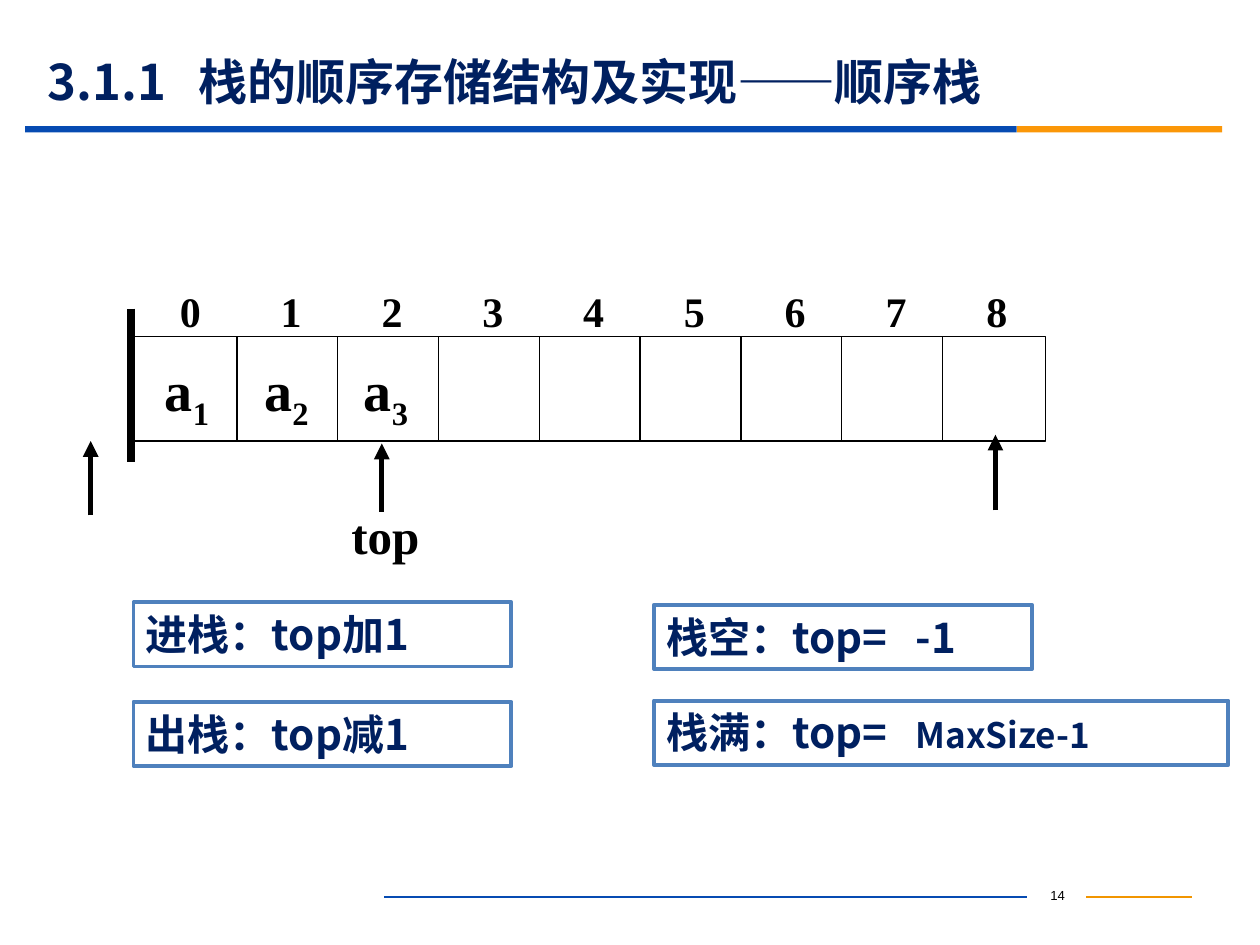
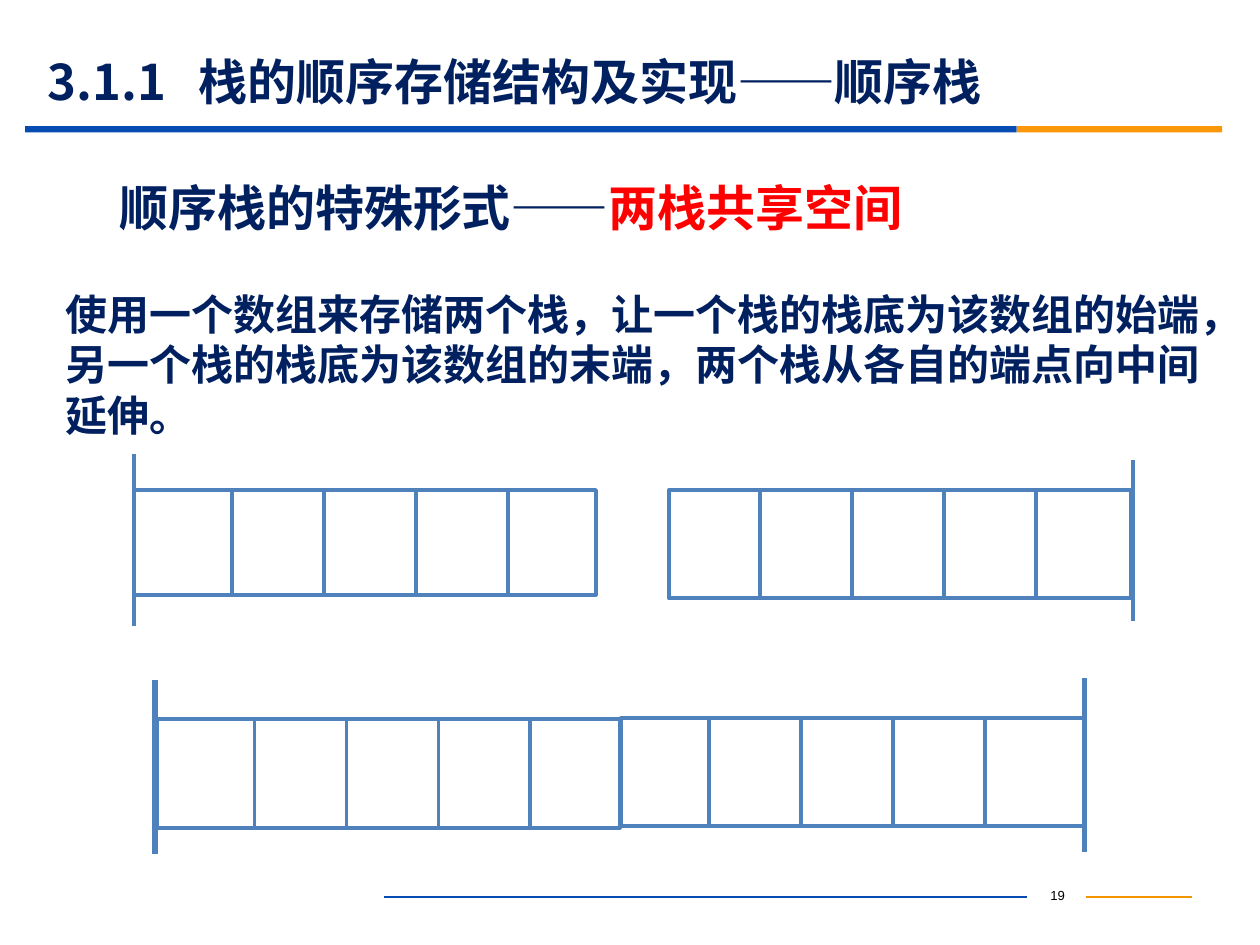
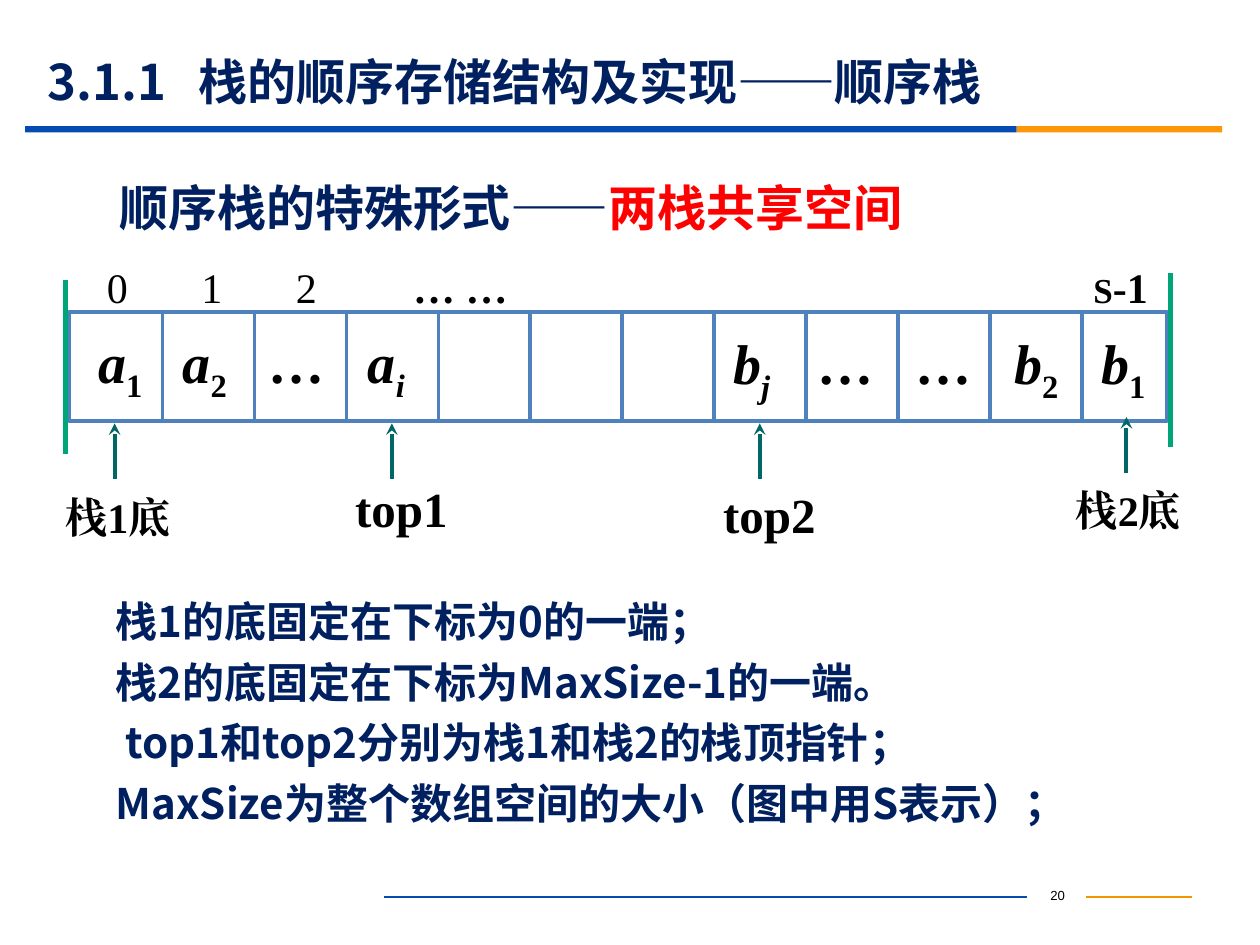
from lxml.etree import SubElement
from pptx import Presentation
from pptx.dml.color import RGBColor
from pptx.enum.shapes import MSO_CONNECTOR as Connector, MSO_SHAPE as Preset
from pptx.enum.text import MSO_ANCHOR as Anchor, PP_ALIGN as Align
from pptx.oxml.ns import qn
from pptx.util import Inches, Pt

SANS, SERIF = "Noto Sans CJK SC", "Times New Roman"
NAVY, BLUE, ORANGE, RED = "002060", "064BB2", "FB9708", "FF0000"
STEEL, GREEN, TEAL, BLACK = "4F81BD", "00A479", "006666", "000000"

HEADING = "3.1.1\t栈的顺序存储结构及实现——顺序栈"
SUBHEADING = [("顺序栈的特殊形式——", {}), ("两栈共享空间", {"color": RED})]
SUB = {"base": -25}
ITALIC = {"italic": True}

STACK_ITEMS = ["1", "2", "3"]
RULES = [
    (1.06, 4.78, 3, "进栈：top加1"),
    (1.06, 5.57, 3, "出栈：top减1"),
    (5.19, 4.8, 3, "栈空：top=\t-1"),
    (5.19, 5.56, 4.56, [("栈满：top=\t", {}), ("MaxSize-1", {"size": 20})]),
]
SHARING = ("使用一个数组来存储两个栈，让一个栈的栈底为该数组的始端，"
           "另一个栈的栈底为该数组的末端，两个栈从各自的端点向中间延伸。")
HALVES = [
    {"box": (1.06, 3.89, 3.67, 0.83), "first": 1.84, "wall": (1.06, 3.6, 4.97), "wall_width": 2.25},
    {"box": (5.31, 3.89, 3.67, 0.86), "first": 6.03, "wall": (8.99, 3.65, 4.93), "wall_width": 2.25},
    {"box": (1.25, 5.71, 3.67, 0.86), "first": 2.02, "wall": (1.23, 5.4, 6.78), "wall_width": 3},
    {"box": (4.93, 5.7, 3.67, 0.86), "first": 5.63, "wall": (8.61, 5.38, 6.76), "wall_width": 3},
]
INDEXES = [("0\t1\t2\t", {"bold": False}), ("… …\t", {}), ("S", {"size": 20}), ("-1", {})]
LEFT_ITEMS = [("a", ITALIC), ("1", SUB), ("\ta", ITALIC), ("2", SUB), ("\t…", {}),
              ("\ta", ITALIC), ("i", {**SUB, **ITALIC})]
RIGHT_ITEMS = [("b", ITALIC), ("j", {**SUB, **ITALIC}), ("\t…\t…", {}), ("\tb", ITALIC),
               ("2", SUB), ("\tb", ITALIC), ("1", SUB)]
POINTERS = [
    (0.91, 3.8, (0.42, 3.85, 1.33, 0.5), "栈1底", 24),
    (3.11, 3.8, (2.72, 3.75, 1.05, 0.57), "top1", 28),
    (6.03, 3.8, (5.64, 3.8, 0.98, 0.57), "top2", 28),
    (8.94, 3.75, (8.44, 3.8, 1.33, 0.5), "栈2底", 24),
]
NOTES = [
    "栈1的底固定在下标为0的一端；",
    "栈2的底固定在下标为MaxSize-1的一端。",
    " top1和top2分别为栈1和栈2的栈顶指针；",
    "MaxSize为整个数组空间的大小（图中用S表示）；",
]


def rgb(value):
    return RGBColor.from_string(value)


def rectangle(slide, box, fill=None, border=None, width=2.25):
    shape = slide.shapes.add_shape(Preset.RECTANGLE, *map(Inches, box))
    shape.shadow.inherit = False
    if fill:
        shape.fill.solid()
        shape.fill.fore_color.rgb = rgb(fill)
    else:
        shape.fill.background()
    if border:
        shape.line.color.rgb = rgb(border)
        shape.line.width = Pt(width)
    else:
        shape.line.fill.background()
    return shape


def line(slide, start, end, color, width, head=None):
    connector = slide.shapes.add_connector(Connector.STRAIGHT, *map(Inches, (*start, *end)))
    connector.line.color.rgb = rgb(color)
    connector.line.width = Pt(width)
    if head:
        SubElement(connector.line._get_or_add_ln(), qn("a:tailEnd"), type=head)
    SubElement(connector._element.spPr, qn("a:effectLst"))


def text(slide, box, *paragraphs, size=24, font=SANS, color=NAVY, bold=True, align=Align.LEFT,
         anchor=Anchor.TOP, side=0.1, spacing=None, tabs=(), border=None):
    shape = (rectangle(slide, box, border=border) if border
             else slide.shapes.add_textbox(*map(Inches, box)))
    frame = shape.text_frame
    frame.word_wrap = True
    frame.vertical_anchor = anchor
    frame.margin_left = frame.margin_right = Inches(side)
    frame.margin_top = frame.margin_bottom = Inches(0.05)
    for number, content in enumerate(paragraphs):
        paragraph = frame.add_paragraph() if number else frame.paragraphs[0]
        paragraph.alignment = align
        if spacing:
            paragraph.line_spacing = spacing
        if tabs:
            stops = SubElement(paragraph._p.get_or_add_pPr(), qn("a:tabLst"))
            for stop in tabs:
                SubElement(stops, qn("a:tab"), pos=str(Inches(stop)), algn="l")
        for words, style in [(content, {})] if isinstance(content, str) else content:
            run = paragraph.add_run()
            run.text = words
            run.font.size = Pt(style.get("size", size))
            run.font.bold = style.get("bold", bold)
            run.font.italic = style.get("italic", False)
            run.font.color.rgb = rgb(style.get("color", color))
            run.font.name = font
            properties = run._r.get_or_add_rPr()
            SubElement(properties, qn("a:ea"), typeface=font)
            if "base" in style:
                properties.set("baseline", str(style["base"] * 1000))


def array(slide, box, first, step, cells, color=STEEL, width=2.25):
    left, top, _, height = box
    rectangle(slide, box, border=color, width=width)
    for number in range(cells - 1):
        x = first + number * step
        line(slide, (x, top), (x, top + height), color, width)


def wall(slide, x, top, bottom, color, width):
    line(slide, (x, top), (x, bottom), color, width)


def new_slide(deck, number):
    slide = deck.slides.add_slide(deck.slide_layouts[6])
    text(slide, (8.16, 6.99, 0.47, 0.25), number, size=7.5, font="Arial", color=BLACK,
         bold=False, align=Align.CENTER)
    line(slide, (8.62, 7.12), (9.46, 7.12), "F19500", 0.75)
    line(slide, (3.05, 7.12), (8.15, 7.12), BLUE, 0.75)
    rectangle(slide, (0.2, 1, 7.87, 0.05), fill=BLUE)
    rectangle(slide, (8.07, 1, 1.63, 0.05), fill=ORANGE)
    text(slide, (0.28, 0.43, 9, 0.43), HEADING, size=28, anchor=Anchor.MIDDLE, tabs=[1.2])
    return slide


def subheading(slide):
    text(slide, (0.85, 1.26, 9, 0.76), SUBHEADING, size=28, anchor=Anchor.MIDDLE)


def sequential_stack(deck):
    slide = new_slide(deck, "14")
    step = 0.8
    for left, top, width, rule in RULES:
        text(slide, (left, top, width, 0.51), rule, border=STEEL, tabs=[1.98])
    array(slide, (1.06, 2.67, 7.24, 0.83), 1.88, step, 9, BLACK, 0.75)
    text(slide, (1.08, 2.22, 7.33, 0.5), "".join(f"\t{index}" for index in range(9)),
         font=SERIF, color=BLACK, tabs=[0.25 + step * index for index in range(9)])
    wall(slide, 1.04, 2.45, 3.67, BLACK, 4.5)
    for number, item in enumerate(STACK_ITEMS):
        text(slide, (1.21 + 0.79 * number, 2.77, 0.67, 0.63), [("a", {}), (item, SUB)],
             size=32, font=SERIF, color=BLACK)
    for x, bottom, tip in [(0.72, 4.09, 3.5), (3.03, 4.06, 3.52), (7.9, 4.05, 3.45)]:
        line(slide, (x, bottom), (x, tip), BLACK, 3, "triangle")
    text(slide, (2.69, 3.96, 0.79, 0.57), "top", size=28, font=SERIF, color=BLACK)


def shared_space(deck):
    slide = new_slide(deck, "19")
    subheading(slide)
    for half in HALVES:
        array(slide, half["box"], half["first"], 0.73, 5)
        wall(slide, *half["wall"], STEEL, half["wall_width"])
    text(slide, (0.52, 2.24, 9.06, 1.58), SHARING, side=0)


def shared_pointers(deck):
    slide = new_slide(deck, "20")
    subheading(slide)
    array(slide, (0.55, 2.48, 8.71, 0.86), 1.29, 0.73, 12)
    wall(slide, 0.52, 2.22, 3.6, GREEN, 3)
    wall(slide, 9.29, 2.17, 3.55, GREEN, 3)
    serif = {"font": SERIF, "color": BLACK}
    text(slide, (0.75, 2.03, 8.76, 0.5), INDEXES, tabs=[0.75, 1.5, 2.43, 7.83], **serif)
    text(slide, (0.68, 2.55, 3.09, 0.63), LEFT_ITEMS, size=32, tabs=[0.67, 1.35, 2.14], **serif)
    text(slide, (5.72, 2.56, 3.54, 0.63), RIGHT_ITEMS, size=32,
         tabs=[0.67, 1.45, 2.23, 2.92], **serif)
    for x, bottom, box, label, size in POINTERS:
        line(slide, (x, bottom), (x, bottom - 0.44), TEAL, 2.25, "stealth")
        text(slide, box, label, size=size, **serif)
    text(slide, (0.92, 4.6, 7.94, 2.04), *NOTES, side=0, spacing=1.2)


def main():
    deck = Presentation()
    deck.slide_width, deck.slide_height = Inches(10), Inches(7.5)
    for build in (sequential_stack, shared_space, shared_pointers):
        build(deck)
    deck.save("out.pptx")


if __name__ == "__main__":
    main()
